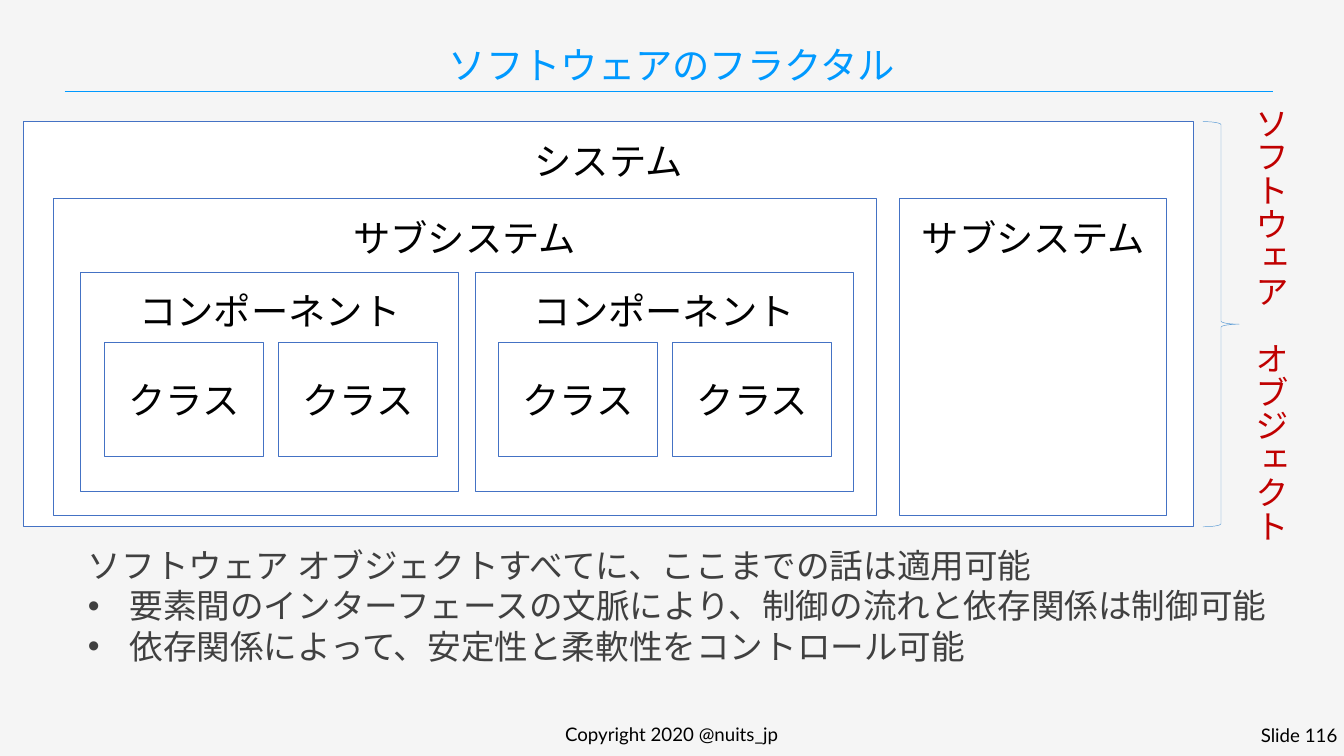
from typing import NamedTuple

from lxml import etree
from pptx import Presentation
from pptx.dml.color import RGBColor
from pptx.enum import lang, shapes, text
from pptx.oxml import ns
from pptx.util import Emu, Pt

PX = 9144  # EMU per px, 100 px to the inch
FONT = "Lato"
BACKGROUND = RGBColor(0xF5, 0xF5, 0xF5)
WHITE = RGBColor(0xFF, 0xFF, 0xFF)
BLACK = RGBColor(0x00, 0x00, 0x00)
GREY = RGBColor(0x40, 0x40, 0x40)
RED = RGBColor(0xC0, 0x00, 0x00)
TITLE_BLUE = RGBColor(0x00, 0x99, 0xFF)
BOX_BLUE = RGBColor(0x44, 0x72, 0xC4)
BRACE_BLUE = RGBColor(0x5B, 0x9B, 0xD5)

ALIGN = text.PP_ALIGN
ANCHOR = text.MSO_ANCHOR


class Area(NamedTuple):
    left: int
    top: int
    width: int
    height: int

    def emu(self) -> list[Emu]:
        return [Emu(n * PX) for n in self]


class Box(NamedTuple):
    label: str
    area: Area
    anchor: ANCHOR = ANCHOR.TOP


def write(sp, lines: list[str], size: int = 40, color: RGBColor = BLACK,
          align: ALIGN = ALIGN.CENTER, anchor: ANCHOR = ANCHOR.TOP,
          inset_top: int = 5, wrap: bool = True, spacing: float | None = None):
    """Fill a shape with one paragraph per line, all in one format."""
    tf = sp.text_frame
    tf.word_wrap = wrap
    tf.vertical_anchor = anchor
    tf.margin_top = Emu(inset_top * PX)
    for i, line in enumerate(lines):
        p = tf.add_paragraph() if i else tf.paragraphs[0]
        p.alignment = align
        p.line_spacing = spacing
        r = p.add_run()
        r.text = line
        r.font.name = FONT
        r.font.size = Pt(size)
        r.font.color.rgb = color
        r.font.language_id = lang.MSO_LANGUAGE_ID.JAPANESE
    return tf


def add_text(s, area: Area, lines: list[str], **style):
    return write(s.shapes.add_textbox(*area.emu()), lines, **style)


def add_box(s, box: Box) -> None:
    sp = s.shapes.add_shape(shapes.MSO_SHAPE.RECTANGLE, *box.area.emu())
    sp.shadow.inherit = False
    sp.fill.solid()
    sp.fill.fore_color.rgb = WHITE
    sp.line.color.rgb = BOX_BLUE
    sp.line.width = Pt(1)
    inset = 24 if box.anchor == ANCHOR.TOP else 5
    write(sp, [box.label], anchor=box.anchor, inset_top=inset)


def add_bullet(p, indent: int) -> None:
    pPr = p._p.get_or_add_pPr()
    pPr.set("marL", str(indent * PX))
    pPr.set("indent", str(-indent * PX))
    etree.SubElement(pPr, ns.qn("a:buFont")).set("typeface", "Arial")
    etree.SubElement(pPr, ns.qn("a:buChar")).set("char", "•")


def add_rule(s, left: int, right: int, y: int) -> None:
    line = s.shapes.add_connector(
        shapes.MSO_CONNECTOR.STRAIGHT, *(Emu(n * PX) for n in (left, y, right, y)))
    line.line.color.rgb = TITLE_BLUE
    line.line.width = Pt(0.5)
    etree.SubElement(line._element.spPr, ns.qn("a:effectLst"))


def nested_boxes() -> list[Box]:
    """System, subsystems, components and classes, outermost first."""
    boxes = [
        Box("システム", Area(35, 181, 1741, 603)),
        Box("サブシステム", Area(79, 296, 1225, 471)),
        Box("サブシステム", Area(1339, 296, 397, 471)),
    ]
    for left in (120, 707):
        boxes.append(Box("コンポーネント", Area(left, 405, 563, 327)))
        for offset in (35, 294):
            boxes.append(Box("クラス", Area(left + offset, 509, 237, 171), ANCHOR.MIDDLE))
    return boxes


def main() -> None:
    prs = Presentation()
    prs.slide_width, prs.slide_height = Emu(2000 * PX), Emu(1125 * PX)
    s = prs.slides.add_slide(prs.slide_layouts[6])
    s.background.fill.solid()
    s.background.fill.fore_color.rgb = BACKGROUND

    # Footer
    add_text(s, Area(662, 1074, 675, 38), ["Copyright 2020 @nuits_jp"],
             size=20, anchor=ANCHOR.MIDDLE)
    add_text(s, Area(1828, 1075, 172, 37), ["Slide 116"],
             size=20, align=ALIGN.RIGHT, anchor=ANCHOR.MIDDLE)

    # Title
    add_rule(s, 96, 1894, 136)
    add_text(s, Area(35, 51, 1930, 84), ["ソフトウェアのフラクタル"],
             color=TITLE_BLUE, anchor=ANCHOR.BOTTOM, spacing=0.9)

    # Nested boxes
    for box in nested_boxes():
        add_box(s, box)

    # Explanation
    tf = add_text(s, Area(121, 806, 1797, 192), [
        "ソフトウェア オブジェクトすべてに、ここまでの話は適用可能",
        "要素間のインターフェースの文脈により、制御の流れと依存関係は制御可能",
        "依存関係によって、安定性と柔軟性をコントロール可能",
    ], size=36, color=GREY, align=ALIGN.LEFT)
    for p in tf.paragraphs[1:]:
        add_bullet(p, 62)

    # Brace and its vertical label
    brace = s.shapes.add_shape(shapes.MSO_SHAPE.RIGHT_BRACE,
                               *Area(1790, 181, 54, 603).emu())
    brace.shadow.inherit = False
    brace.fill.background()
    brace.line.color.rgb = BRACE_BLUE
    brace.line.width = Pt(0.5)
    tf = add_text(s, Area(1845, 149, 81, 666), ["ソフトウェア\u3000オブジェクト".replace("\u3000", "　")],
                  size=36, color=RED, wrap=False)
    tf._txBody.bodyPr.set("vert", "eaVert")

    prs.save("out.pptx")


if __name__ == "__main__":
    main()
